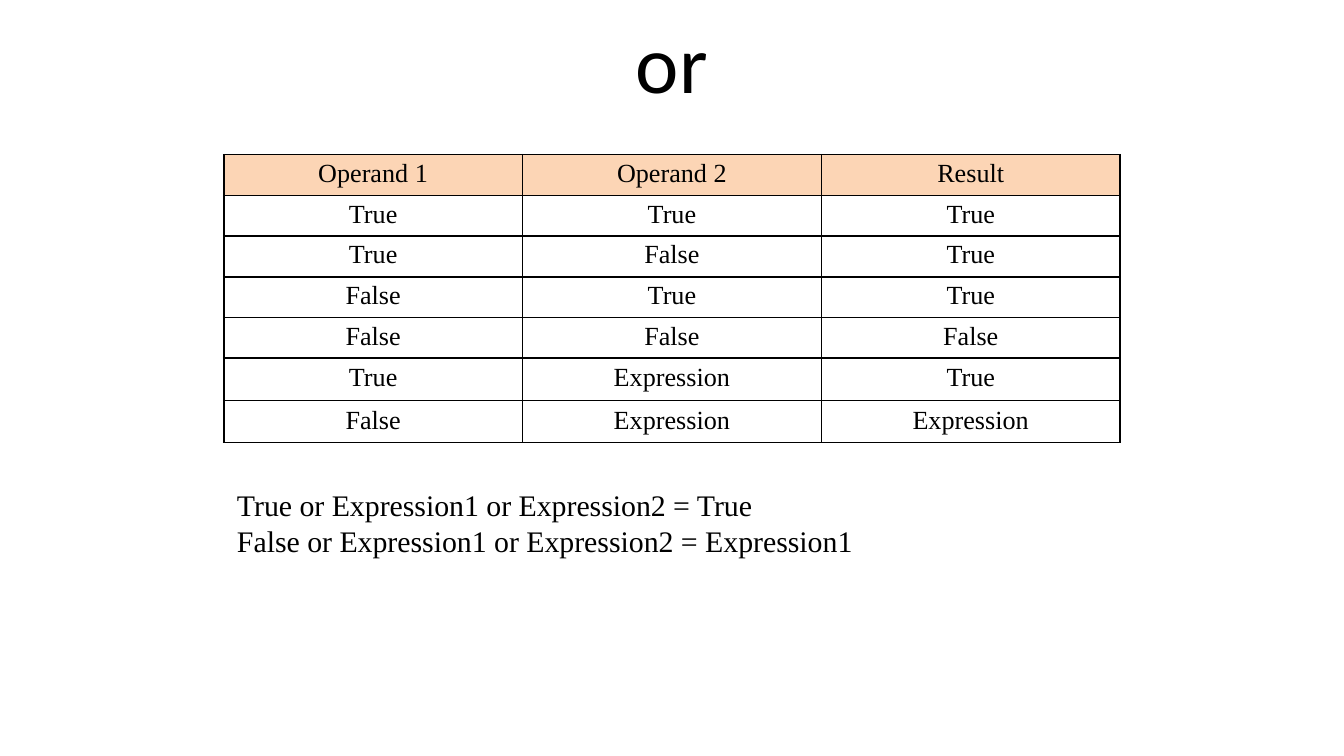
from dataclasses import dataclass

from lxml.etree import SubElement
from pptx import Presentation
from pptx.dml.color import RGBColor
from pptx.enum.text import MSO_ANCHOR, PP_ALIGN
from pptx.oxml.ns import qn
from pptx.util import Inches, Pt


@dataclass(frozen=True)
class Theme:
    ink: str = "000000"
    header_fill: str = "FCD5B5"
    title_font: str = "Calibri"
    body_font: str = "Times New Roman"
    title_size: int = 44
    table_size: int = 14
    note_size: int = 16
    border: float = 1


@dataclass(frozen=True)
class TextBlock:
    left: float
    top: float
    width: float
    height: float
    lines: tuple[str, ...]
    font: str
    size: int
    align: PP_ALIGN = PP_ALIGN.LEFT
    anchor: MSO_ANCHOR = MSO_ANCHOR.TOP


THEME = Theme()
SLIDE_W = 10
SLIDE_H = SLIDE_W * 9 / 16
TABLE_W = 6.67
TABLE_LEFT = (SLIDE_W - TABLE_W) / 2
TITLE = TextBlock(0.5, -0.02, 9, 0.94, ("or",), THEME.title_font,
                  THEME.title_size, PP_ALIGN.CENTER, MSO_ANCHOR.MIDDLE)
NOTES = TextBlock(TABLE_LEFT, 3.57, 5.58, 0.64,
                  ("True or Expression1 or Expression2 = True",
                   "False or Expression1 or Expression2 = Expression1"),
                  THEME.body_font, THEME.note_size)
TRUTH_TABLE = (
    ("Operand 1", "Operand 2", "Result"),
    ("True", "True", "True"),
    ("True", "False", "True"),
    ("False", "True", "True"),
    ("False", "False", "False"),
    ("True", "Expression", "True"),
    ("False", "Expression", "Expression"),
)
EXPRESSION_ROW = 5  # rows from here on have more padding


def style_paragraph(p, font: str, size: int, align: PP_ALIGN) -> None:
    p.alignment = align
    for r in p.runs:
        r.font.name = font
        r.font.size = Pt(size)
        r.font.color.rgb = RGBColor.from_string(THEME.ink)


def add_text(slide, block: TextBlock) -> None:
    s = slide.shapes.add_textbox(Inches(block.left), Inches(block.top),
                                 Inches(block.width), Inches(block.height))
    tf = s.text_frame
    tf.word_wrap = True
    tf.vertical_anchor = block.anchor
    tf.text = "\n".join(block.lines)
    for p in tf.paragraphs:
        style_paragraph(p, block.font, block.size, block.align)


def add_borders(cell) -> None:
    props = cell._tc.get_or_add_tcPr()
    for i, side in enumerate(("lnL", "lnR", "lnT", "lnB")):
        line = props.makeelement(qn(f"a:{side}"), {"w": str(Pt(THEME.border))})
        fill = SubElement(line, qn("a:solidFill"))
        SubElement(fill, qn("a:srgbClr"), val=THEME.ink)
        props.insert(i, line)  # borders come before the cell fill


def add_truth_table(slide) -> None:
    rows, cols = len(TRUTH_TABLE), len(TRUTH_TABLE[0])
    table = slide.shapes.add_table(rows, cols, Inches(TABLE_LEFT), Inches(1.15),
                                   Inches(TABLE_W), Inches(0.3 * rows)).table
    table.first_row = table.horz_banding = False
    for i, values in enumerate(TRUTH_TABLE):
        padding = 0.07 if i < EXPRESSION_ROW else 0.08
        for j, value in enumerate(values):
            cell = table.cell(i, j)
            cell.text_frame.text = value
            style_paragraph(cell.text_frame.paragraphs[0], THEME.body_font,
                            THEME.table_size, PP_ALIGN.CENTER)
            cell.margin_top = cell.margin_bottom = Inches(padding / 2)
            if i == 0:
                cell.fill.solid()
                cell.fill.fore_color.rgb = RGBColor.from_string(THEME.header_fill)
            else:
                cell.fill.background()
            add_borders(cell)


def main() -> None:
    prs = Presentation()
    prs.slide_width, prs.slide_height = Inches(SLIDE_W), Inches(SLIDE_H)
    slide = prs.slides.add_slide(prs.slide_layouts[6])

    # Title, truth table, short-circuit rules
    add_text(slide, TITLE)
    add_truth_table(slide)
    add_text(slide, NOTES)

    prs.save("out.pptx")


if __name__ == "__main__":
    main()
